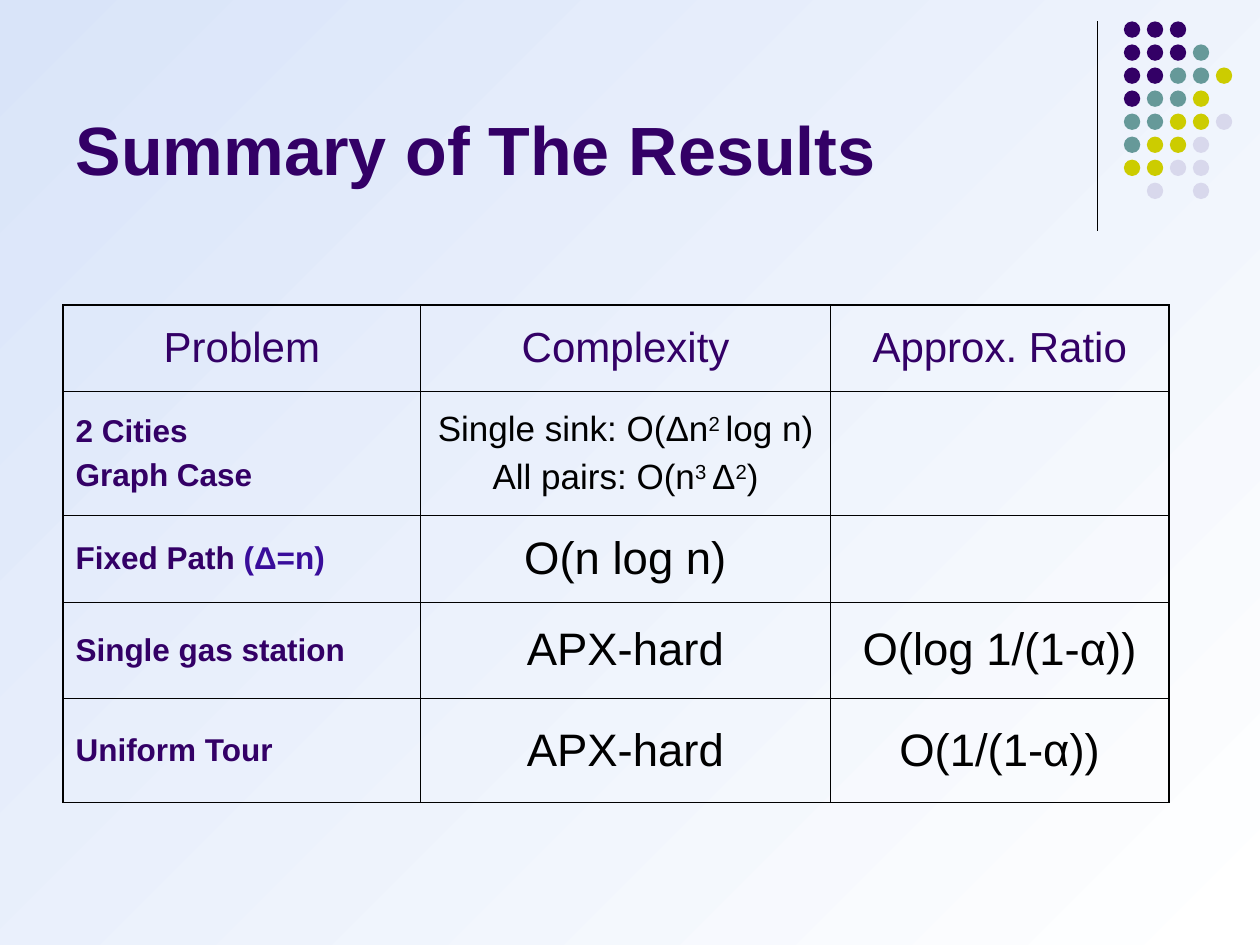
from lxml import etree
from pptx import Presentation
from pptx import util as u
from pptx.dml.color import RGBColor
from pptx.enum import shapes, text
from pptx.oxml.ns import qn

HUES = {"ink": "330066", "teal": "669999", "lime": "CCCC00", "pale": "D8D8EC",
        "blue": "390D9B", "black": "000000", "white": "FFFFFF", "sky": "D9E4F9"}
DOTS = ["PPP", "PPPT", "PPTTL", "PTTL", "TTLLG", "TLLG", "LLGG", " G G"]
KEYS = {"P": "ink", "T": "teal", "L": "lime", "G": "pale"}
HEADS = ["Problem", "Complexity", "Approx. Ratio"]
SUP = {"sup": True}
ROWS = [
    [[["2 Cities"], ["Graph Case"]],
     [["Single sink: O(Δn", ("2 ", SUP), "log n)"],
      ["All pairs: O(n", ("3 ", SUP), "Δ", ("2", SUP), ")"]], []],
    [[["Fixed Path ", ("(Δ=n)", {"hue": "blue"})]], [["O(n log n)"]], []],
    [[["Single gas station"]], [["APX-hard"]], [["O(log 1/(1-α))"]]],
    [[["Uniform Tour"]], [["APX-hard"]], [["O(1/(1-α))"]]],
]


def tint(name):
    """Return the named colour."""
    return RGBColor.from_string(HUES[name])


def write(frame, paras, size, hue="ink", bold=False, align="LEFT", gap=0):
    """Fill a text frame with paragraphs of plain or specially formatted runs."""
    for i, parts in enumerate(paras):
        para = frame.paragraphs[0] if i == 0 else frame.add_paragraph()
        para.alignment = getattr(text.PP_ALIGN, align)
        para.space_before = u.Pt(gap)
        for part in parts:
            words, extra = (part, {}) if isinstance(part, str) else part
            run = para.add_run()
            run.text = words
            font = run.font
            font.name, font.size, font.bold = "Arial", u.Pt(size), bold
            font.color.rgb = tint(extra.get("hue", hue))
            if extra.get("sup"):
                run._r.get_or_add_rPr().set("baseline", "30000")


def paint(slide):
    """Give the slide its diagonal gradient."""
    fill = slide.background.fill
    fill.gradient()
    fill.gradient_angle = 135
    for stop, name in zip(fill.gradient_stops, ["white", "sky"]):
        stop.color.rgb = tint(name)


def rule(slide, x, y, high):
    """Draw the upright line beside the dots."""
    line = slide.shapes.add_connector(
        shapes.MSO_CONNECTOR.STRAIGHT, u.Inches(x), u.Inches(y),
        u.Inches(x), u.Inches(y + high))
    line.line.color.rgb = tint("black")
    line.line.width = u.Pt(0.75)
    etree.SubElement(line._element.spPr, qn("a:effectLst"))


def dots(slide, x, y, wide, high, size=0.13):
    """Spread the coloured dots evenly over a box."""
    group = slide.shapes.add_group_shape()
    across = (wide - size) / (max(map(len, DOTS)) - 1)
    down = (high - size) / (len(DOTS) - 1)
    for r, row in enumerate(DOTS):
        for c, key in enumerate(row):
            if key in KEYS:
                dot = group.shapes.add_shape(
                    shapes.MSO_SHAPE.OVAL, u.Inches(x + c * across),
                    u.Inches(y + r * down), u.Inches(size), u.Inches(size))
                dot.shadow.inherit = False
                dot.fill.solid()
                dot.fill.fore_color.rgb = tint(KEYS[key])
                dot.line.fill.background()


def title(slide, x, y, wide, high):
    """Place and fill the title."""
    head = slide.shapes.title
    head.left, head.top = u.Inches(x), u.Inches(y)
    head.width, head.height = u.Inches(wide), u.Inches(high)
    frame = head.text_frame
    frame.auto_size = text.MSO_AUTO_SIZE.NONE
    frame.word_wrap = True
    frame.vertical_anchor = text.MSO_ANCHOR.BOTTOM
    write(frame, [["Summary of The Results"]], 39, bold=True)


def edge(cell, outer):
    """Border a cell, thicker on its outer sides."""
    props = cell._tc.get_or_add_tcPr()
    for i, side in enumerate("LRTB"):
        width = u.Pt(1.08 if side in outer else 0.45)
        line = etree.Element(qn("a:ln" + side), w=str(int(width)))
        fill = etree.SubElement(line, qn("a:solidFill"))
        etree.SubElement(fill, qn("a:srgbClr"), val=HUES["black"])
        props.insert(i, line)


def grid(slide, x, y, cols, rows):
    """Build the table of results from column widths and row heights."""
    table = slide.shapes.add_table(
        len(rows), len(cols), u.Inches(x), u.Inches(y),
        u.Inches(sum(cols)), u.Inches(sum(rows))).table
    table.first_row = table.horz_banding = False
    for col, wide in zip(table.columns, cols):
        col.width = u.Inches(wide)
    for row, high in zip(table.rows, rows):
        row.height = u.Inches(high)
    data = [[[[head]] for head in HEADS]] + ROWS
    for r, row in enumerate(data):
        for c, paras in enumerate(row):
            cell = table.cell(r, c)
            cell.vertical_anchor = text.MSO_ANCHOR.MIDDLE
            cell.fill.background()
            flags = {"L": c == 0, "R": c == len(cols) - 1,
                     "T": r == 0, "B": r == len(rows) - 1}
            edge(cell, [side for side in flags if flags[side]])
            if r == 0:
                look = {"size": 24, "align": "CENTER"}
            elif c == 0:
                look = {"size": 18, "bold": True}
            else:
                look = {"size": 20 if len(paras) > 1 else 26,
                        "hue": "black", "align": "CENTER"}
            write(cell.text_frame, paras, gap=look["size"] / 4, **look)


def main():
    """Build and save the slide."""
    deck = Presentation()
    deck.slide_width, deck.slide_height = u.Inches(10), u.Inches(7.5)
    slide = deck.slides.add_slide(deck.slide_layouts[5])
    paint(slide)
    rule(slide, 8.71, 0.17, 1.66)
    dots(slide, 8.92, 0.17, 0.86, 1.41)
    title(slide, 0.5, 0.13, 8.25, 1.42)
    grid(slide, 0.5, 2.42, [2.84, 3.25, 2.69], [0.69, 0.98, 0.69, 0.76, 0.83])
    deck.save("out.pptx")


if __name__ == "__main__":
    main()
